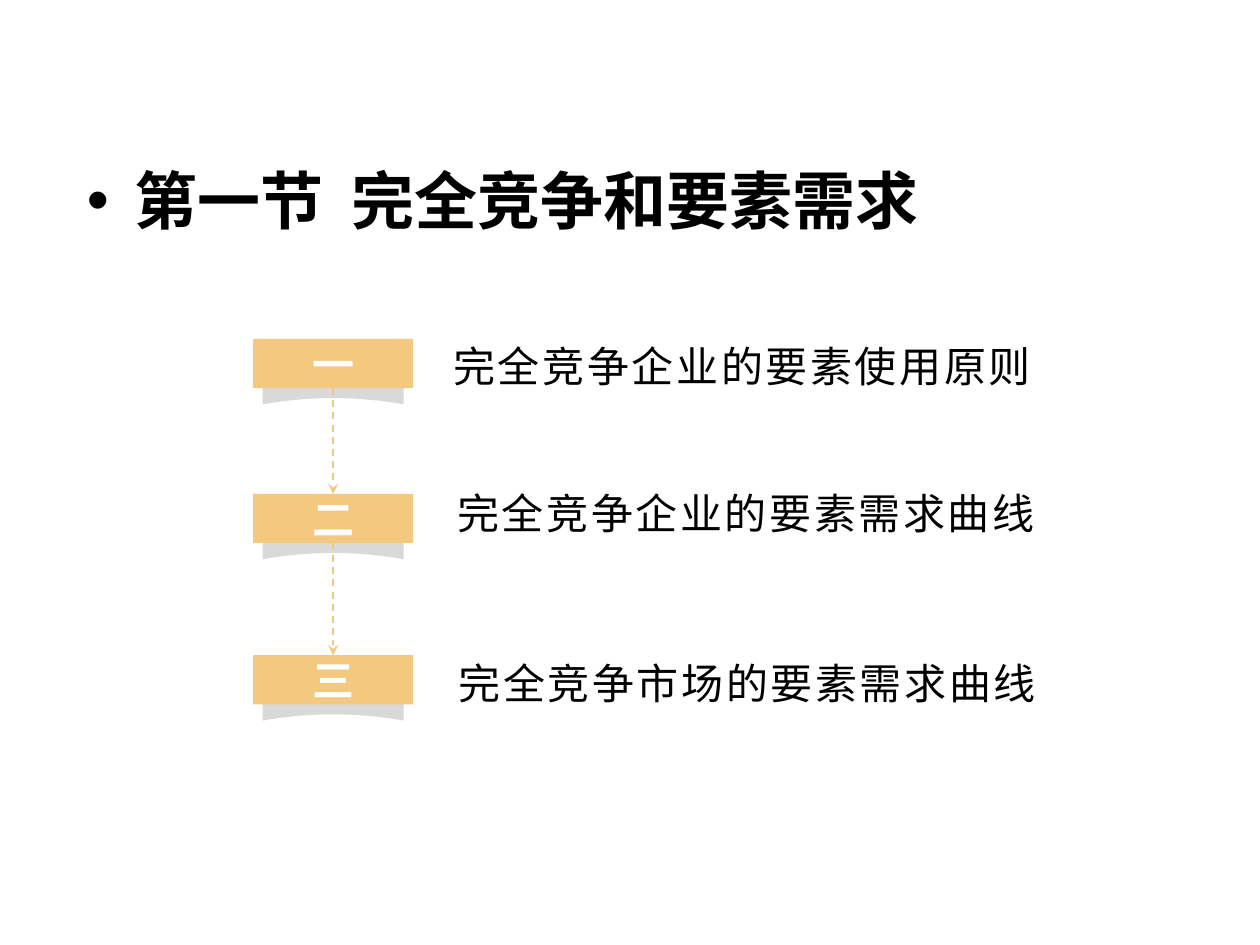
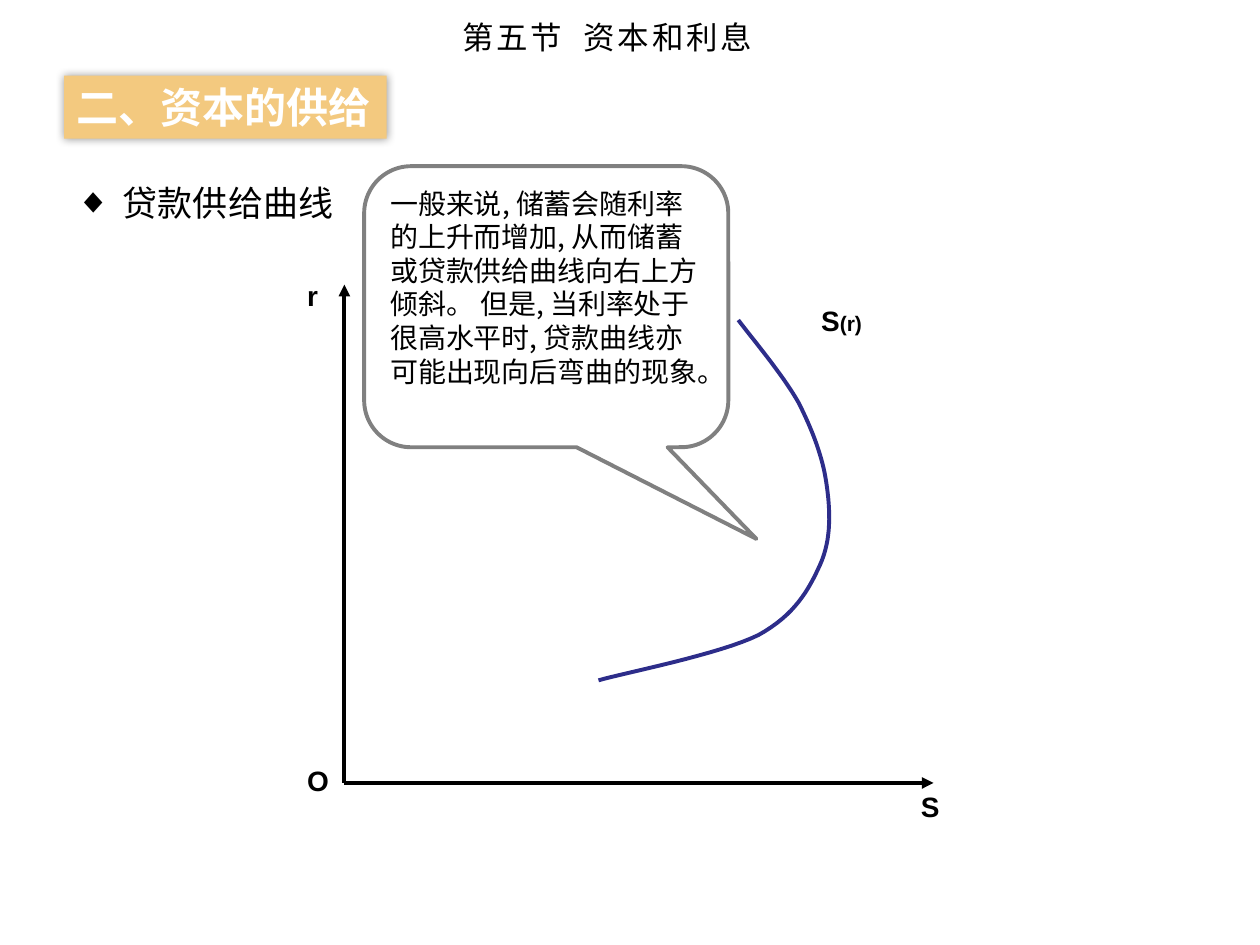
from dataclasses import dataclass

from lxml import etree
from pptx import Presentation
from pptx.dml.color import RGBColor
from pptx.enum import dml, shapes, text
from pptx.oxml.ns import qn
from pptx.util import Pt


@dataclass(frozen=True)
class Theme:
    gold: str = "F3C97F"
    shade: str = "D9D9D9"
    ink: str = "000000"
    white: str = "FFFFFF"
    curve: str = "2D2D8A"
    edge: str = "808080"
    cjk: str = "Noto Sans CJK SC"
    latin: str = "Arial"
    head: float = 36
    item: float = 24
    list: float = 20
    title: float = 18
    note: float = 16
    small: float = 12
    track: float = 1.5
    leading: float = 1.2


T = Theme()

# Chapter outline: number, label, top of tag, left and top of label
STEPS = [
    ("一", "完全竞争企业的要素使用原则", 193.7, 252, 190.8),
    ("二", "完全竞争企业的要素需求曲线", 282.2, 254.2, 275),
    ("三", "完全竞争市场的要素需求曲线", 374.4, 254.9, 372.2),
]
TAG_X, TAG_W, TAG_H = 144.7, 91.4, 28.1
NOTE = ("一般来说, 储蓄会随利率的上升而增加, 从而储蓄或贷款供给曲线向右上方倾斜。 "
        "但是, 当利率处于很高水平时, 贷款曲线亦可能出现向后弯曲的现象。")

# Axis letters: text, left, top, width
MARKS = [("r", 168.5, 155.5, 57.6), ("O", 168.5, 432.7, 31),
         ("S", 519.1, 447.8, 31)]
ORIGIN, R_END, S_END = (196.8, 447.4), (196.8, 162.7), (533.5, 447.4)

# Supply curve: a start, then two handles and an end for each arc
START = (421.9, 182.9)
ARCS = [
    ((427.7, 190.8), (447.8, 214.6), (456.5, 230.4)),
    ((464.4, 246.2), (470.2, 261.4), (472.3, 276.5)),
    ((474.5, 291.6), (475.2, 308.2), (468.7, 322.6)),
    ((462.2, 337), (454.3, 351.4), (433.4, 362.9)),
    ((411.8, 373.7), (357.1, 384.5), (342, 388.8)),
]


def rgb(hue):
    return RGBColor.from_string(hue)


def pts(*vals):
    return [Pt(v) for v in vals]


# --- Text ---
def style(para, size, hue=T.ink, face=T.cjk, bold=False, track=0):
    font = para.font
    font.name, font.size, font.bold = face, Pt(size), bold
    font.color.rgb = rgb(hue)
    props = para._p.pPr.find(qn("a:defRPr"))
    etree.SubElement(props, qn("a:ea")).set("typeface", face)
    if track:
        props.set("spc", str(int(track * 100)))
    if face == T.cjk:
        para.line_spacing = Pt(size * T.leading)


def write(shape, words, size, align=text.PP_ALIGN.LEFT,
          anchor=text.MSO_ANCHOR.TOP, wrap=False, **look):
    frame = shape.text_frame
    frame.word_wrap = wrap
    frame.auto_size = text.MSO_AUTO_SIZE.NONE
    frame.vertical_anchor = anchor
    para = frame.paragraphs[0]
    para.add_run().text = words
    para.alignment = align
    style(para, size, **look)
    return para


def label(slide, words, box, size, **look):
    return write(slide.shapes.add_textbox(*pts(*box)), words, size, **look)


def place(shape, box):
    shape.left, shape.top, shape.width, shape.height = pts(*box)
    return shape


def bullet(shape, words, box, size, mark, **look):
    props = place(shape, box).text_frame.paragraphs[0]._p.get_or_add_pPr()
    props.set("marL", str(Pt(27)))
    props.set("indent", str(-Pt(27)))
    etree.SubElement(props, qn("a:buChar")).set("char", mark)
    para = write(shape, words, size, wrap=True, **look)
    para.space_before = Pt(0)


# --- Shapes and lines ---
def panel(slide, box, fill=None, kind=shapes.MSO_SHAPE.RECTANGLE):
    shape = slide.shapes.add_shape(kind, *pts(*box))
    shape.shadow.inherit = False
    if fill:
        shape.fill.solid()
        shape.fill.fore_color.rgb = rgb(fill)
    else:
        shape.fill.background()
    shape.line.fill.background()
    return shape


def outline(slide, dots, close):
    pen = slide.shapes.build_freeform(*pts(*dots[0]))
    pen.add_line_segments([pts(*dot) for dot in dots[1:]], close=close)
    shape = pen.convert_to_shape()
    shape.shadow.inherit = False
    return shape


def arrow(slide, start, end, hue, width, tip, dash=None):
    link = slide.shapes.add_connector(
        shapes.MSO_CONNECTOR.STRAIGHT, *pts(*start, *end))
    line = link.line
    line.width = Pt(width)
    line.color.rgb = rgb(hue)
    if dash:
        line.dash_style = dash
    props = link._element.spPr
    etree.SubElement(props.find(qn("a:ln")), qn("a:tailEnd")).set("type", tip)
    etree.SubElement(props, qn("a:effectLst"))


def glow(shape):
    effects = shape._element.spPr.find(qn("a:effectLst"))
    cast = etree.SubElement(effects, qn("a:outerShdw"), blurRad=str(Pt(5)),
                            dist="0", dir="0", algn="ctr", rotWithShape="0")
    hue = etree.SubElement(cast, qn("a:srgbClr"), val=T.ink)
    etree.SubElement(hue, qn("a:alpha"), val="40000")


def tag(slide, number, top):
    # Curved shade below the tag
    mid, half = TAG_X + TAG_W / 2, 40.3
    arch = [(mid + half * k / 10, top + 33.8 + 3.6 * (k / 10) ** 2)
            for k in range(10, -11, -1)]
    roof = [(mid - half, top + 27.4), (mid, top + 23.8),
            (mid + half, top + 27.4)]
    shade = outline(slide, arch + roof, True)
    shade.fill.solid()
    shade.fill.fore_color.rgb = rgb(T.shade)
    shade.line.fill.background()
    # Numbered tag
    face = panel(slide, (TAG_X, top, TAG_W, TAG_H), T.gold)
    frame = face.text_frame
    frame.margin_top = frame.margin_bottom = 0
    write(face, number, T.item, align=text.PP_ALIGN.CENTER,
          anchor=text.MSO_ANCHOR.MIDDLE, hue=T.white, bold=True,
          track=T.track)


def bend(start, arcs, steps=16):
    dots = [start]
    for one, two, end in arcs:
        first = dots[-1]
        for k in range(1, steps + 1):
            t = k / steps
            s = 1 - t
            dots.append(tuple(
                s**3 * a + 3 * s * s * t * b + 3 * s * t * t * c + t**3 * d
                for a, b, c, d in zip(first, one, two, end)))
    return dots


# --- Slides ---
def outline_slide(deck):
    slide = deck.slides.add_slide(deck.slide_layouts[1])
    title = slide.shapes.title
    title._element.getparent().remove(title._element)
    bullet(slide.placeholders[1], "第一节  完全竞争和要素需求",
           (42.5, 88.6, 648, 56.9), T.head, "•", bold=True)
    for number, words, top, left, high in STEPS:
        tag(slide, number, top)
        label(slide, words, (left, high, 350, 36), T.item, track=T.track)
    # Arrows from each tag to the next
    mid = TAG_X + TAG_W / 2
    for here, below in zip(STEPS, STEPS[1:]):
        arrow(slide, (mid, here[2] + TAG_H), (mid, below[2]), T.gold, 1,
              "stealth", dml.MSO_LINE.DASH)


def supply_slide(deck):
    slide = deck.slides.add_slide(deck.slide_layouts[1])
    write(place(slide.shapes.title, (257, 7, 200, 28)), "第五节  资本和利息",
          T.title, anchor=text.MSO_ANCHOR.MIDDLE, track=T.track)
    bullet(slide.placeholders[1], "贷款供给曲线",
           (36, 100, 176.4, 38.2), T.list, "◆")

    # Axes and their letters
    for end in (R_END, S_END):
        arrow(slide, ORIGIN, end, T.ink, 2.25, "triangle")
    for words, left, top, width in MARKS:
        label(slide, words, (left, top, width, 33.8), T.note,
              face=T.latin, bold=True)
    name = label(slide, "S", (462.2, 169.9, 64.8, 33.8), T.note,
                 face=T.latin, bold=True)
    part = name.add_run()
    part.text = "(r)"
    part.font.size = Pt(T.small)

    # Supply curve
    curve = outline(slide, bend(START, ARCS), False)
    curve.fill.background()
    curve.line.color.rgb = rgb(T.curve)
    curve.line.width = Pt(2.25)

    # Callout
    note = panel(slide, (208.1, 95, 208.1, 160.6),
                 kind=shapes.MSO_SHAPE.ROUNDED_RECTANGULAR_CALLOUT)
    for k, bias in enumerate((0.577, 0.826, 0.167)):
        note.adjustments[k] = bias
    note.line.color.rgb = rgb(T.edge)
    note.line.width = Pt(2.25)
    write(note, NOTE, T.note, wrap=True)

    # Section banner
    banner = panel(slide, (36.7, 43.2, 184.3, 36), T.gold)
    glow(banner)
    write(banner, "二、资本的供给", T.item, hue=T.white, bold=True)


def main():
    deck = Presentation()
    deck.slide_width, deck.slide_height = pts(720, 540)
    outline_slide(deck)
    supply_slide(deck)
    deck.save("out.pptx")


if __name__ == "__main__":
    main()
